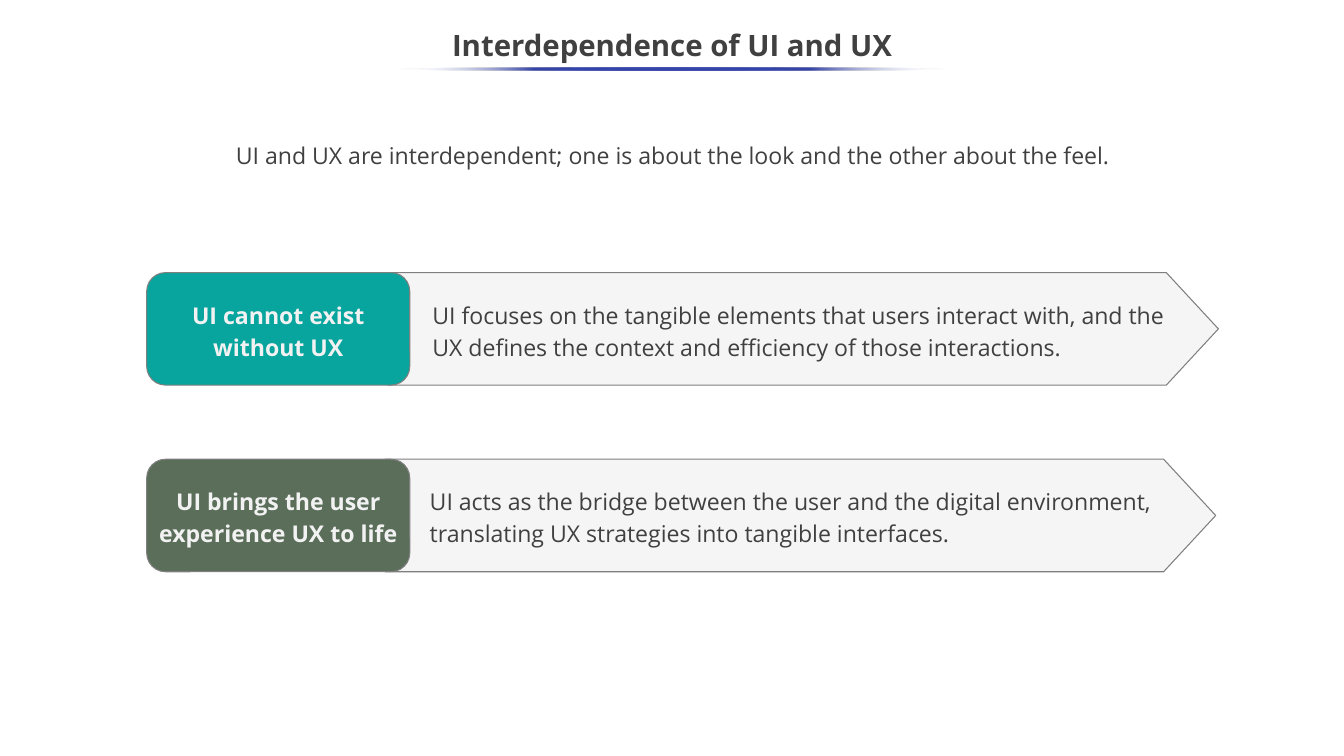
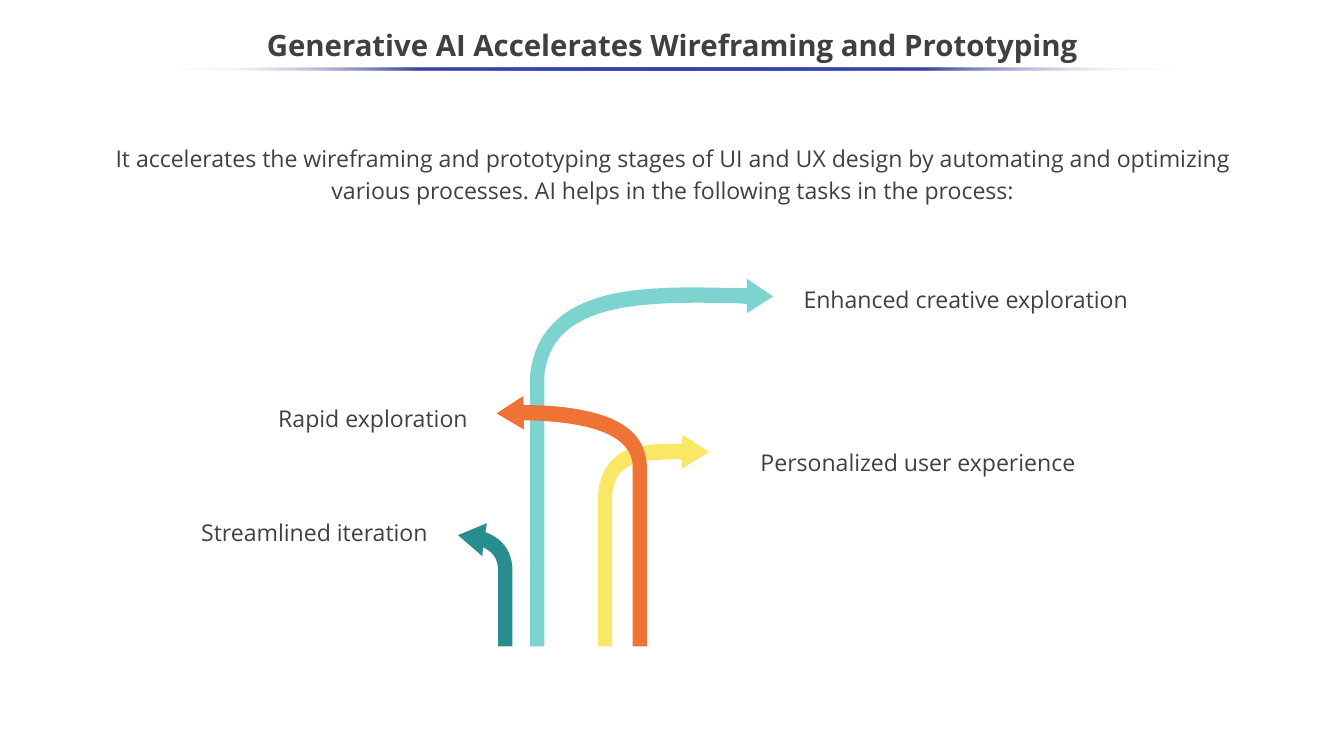
from lxml import etree
from pptx import Presentation
from pptx.dml.color import RGBColor
from pptx.enum.shapes import MSO_SHAPE
from pptx.enum.text import MSO_ANCHOR, MSO_AUTO_SIZE, PP_ALIGN
from pptx.oxml import parse_xml
from pptx.oxml.ns import nsdecls, qn
from pptx.util import Cm, Pt

LEFT, CENTER = PP_ALIGN.LEFT, PP_ALIGN.CENTER
TOP, MIDDLE = MSO_ANCHOR.TOP, MSO_ANCHOR.MIDDLE
NO_FIT, GROW = MSO_AUTO_SIZE.NONE, MSO_AUTO_SIZE.SHAPE_TO_FIT_TEXT
ROUNDED, OVAL = MSO_SHAPE.ROUNDED_RECTANGLE, MSO_SHAPE.OVAL

INK = RGBColor(0x40, 0x40, 0x40)
PALE = RGBColor(0xF2, 0xF2, 0xF2)
BANNER = RGBColor(0xD8, 0xD8, 0xD8)
OUTLINE = RGBColor(0x7F, 0x7F, 0x7F)
TEAL = RGBColor(0x07, 0xA5, 0x9D)
MOSS = RGBColor(0x5A, 0x6E, 0x5A)
DEEP_TEAL = RGBColor(0x28, 0x8D, 0x8E)
AQUA = RGBColor(0x7C, 0xD3, 0xD0)
YELLOW = RGBColor(0xFB, 0xE7, 0x66)
ORANGE = RGBColor(0xEE, 0x73, 0x34)
WHITE = RGBColor(0xFF, 0xFF, 0xFF)
INDIGO = RGBColor(0x36, 0x45, 0xA9)
FONT = "Open Sans"

SLIDE_W, SLIDE_H = 45.16, 25.4
INTRO_LEFT, INTRO_W = 3.58, 38.05
BASE = 21.72

INTERDEPENDENCE = {
    "title": "Interdependence of UI and UX",
    "rule_width": 18.5,
    "intro": "UI and UX are interdependent; one is about the look and the other about the feel.",
    "intro_top": 4.62,
}
BANNERS = [
    ("UI cannot exist without UX",
     "UI focuses on the tangible elements that users interact with, and the UX defines "
     "the context and efficiency of those interactions.", TEAL, 13.03),
    ("UI brings the user experience UX to life",
     "UI acts as the bridge between the user and the digital environment, translating "
     "UX strategies into tangible interfaces.", MOSS, 12.94),
]
BANNER_TOP, BANNER_PITCH = 9.16, 6.27
BANNER_W, BANNER_H, POINT_W = 27.91, 3.78, 1.75
TAG_LEFT, TAG_W = 4.93, 8.84

ACCELERATION = {
    "title": "Generative AI Accelerates Wireframing and Prototyping",
    "rule_width": 34.06,
    "intro": "It accelerates the wireframing and prototyping stages of UI and UX design by "
             "automating and optimizing various processes. AI helps in the following tasks "
             "in the process:",
    "intro_top": 4.72,
}
TASKS = [
    ("Enhanced creative exploration", (26.75, 8.99, 11.96, 1.52), LEFT, 1.5),
    ("Personalized user experience", (25.08, 14.48, 11.53, 1.52), CENTER, 1.5),
    ("Rapid exploration", (9.1, 13.0, 7.24, 1.52), LEFT, 1.5),
    ("Streamlined iteration", (6.45, 17.15, 8.23, 1.27), CENTER, 1.14),
]
ARROWS = [
    (DEEP_TEAL, [
        (17.22, BASE), (17.22, 19.18), (17.22, 18.75, 17.07, 18.16, 16.31, 17.88),
        (16.36, 17.58), (15.39, 17.98), (16.21, 18.69), (16.23, 18.39),
        (16.69, 18.59, 16.74, 18.95, 16.74, 19.18), (16.74, BASE)]),
    (AQUA, [
        (25.98, 9.96), (25.1, 9.37), (25.1, 9.68), (24.74, 9.68),
        (23.29, 9.65, 21.64, 9.6, 20.35, 9.93),
        (19.61, 10.13, 19.05, 10.41, 18.64, 10.82),
        (18.16, 11.28, 17.88, 11.89, 17.81, 12.62),
        (17.81, BASE), (18.29, BASE), (18.29, 12.65),
        (18.39, 11.51, 19.08, 10.8, 20.45, 10.44),
        (21.69, 10.13, 23.32, 10.16, 24.74, 10.19), (25.1, 10.21), (25.1, 10.52)]),
    (YELLOW, [
        (23.83, 15.19), (22.94, 14.61), (22.91, 14.91),
        (22.33, 14.91, 21.67, 14.91, 21.13, 15.09),
        (20.5, 15.34, 20.14, 15.88, 20.09, 16.69),
        (20.09, BASE), (20.57, BASE), (20.57, 16.71),
        (20.62, 15.52, 21.49, 15.42, 22.91, 15.44), (22.91, 15.75)]),
    (ORANGE, [
        (21.31, 14.58), (21.06, 14.33, 20.73, 14.12, 20.29, 13.97),
        (19.61, 13.74, 18.72, 13.61, 17.6, 13.61),
        (17.58, 13.31), (16.69, 13.89), (17.6, 14.43), (17.6, 14.12),
        (19.3, 14.15, 21.26, 14.43, 21.26, 15.7),
        (21.26, BASE), (21.74, BASE), (21.74, 15.7),
        (21.72, 15.27, 21.59, 14.88, 21.31, 14.58)]),
]


def box(*lengths):
    return [Cm(length) for length in lengths]


def write(shape, text, size=22, color=INK, bold=False, align=LEFT, spacing=1.15,
          anchor=TOP, insets=(0.25, 0.13, 0.25, 0.13), fit=NO_FIT):
    frame = shape.text_frame
    frame.text = text
    frame.word_wrap = True
    frame.auto_size = fit
    frame.vertical_anchor = anchor
    (frame.margin_left, frame.margin_top,
     frame.margin_right, frame.margin_bottom) = box(*insets)
    paragraph = frame.paragraphs[0]
    paragraph.alignment = align
    paragraph.line_spacing = spacing
    font = paragraph.runs[0].font
    font.name, font.size, font.bold = FONT, Pt(size), bold
    font.color.rgb = color


def paint(shape, fill, line=None):
    shape.shadow.inherit = False
    shape.fill.solid()
    shape.fill.fore_color.rgb = fill
    if line is None:
        shape.line.fill.background()
    else:
        shape.line.color.rgb = line
        shape.line.width = Pt(1)


def set_alpha(shape, percent):
    color = shape._element.spPr.find(qn("a:solidFill"))[0]
    etree.SubElement(color, qn("a:alpha")).set("val", str(percent * 1000))


def bend(shape, segments):
    straights = list(shape._element.iter(qn("a:lnTo")))
    for straight, segment in zip(straights, segments):
        if len(segment) == 2:
            continue
        curve = etree.Element(qn("a:cubicBezTo"))
        for x, y in zip(segment[::2], segment[1::2]):
            point = etree.SubElement(curve, qn("a:pt"))
            point.set("x", str(Cm(x) - shape.left))
            point.set("y", str(Cm(y) - shape.top))
        straight.getparent().replace(straight, curve)


def add_outline(slide, outline, fill, line=None):
    start, *ends = [box(*segment[-2:]) for segment in outline]
    builder = slide.shapes.build_freeform(*start)
    builder.add_line_segments(ends, close=True)
    shape = builder.convert_to_shape()
    bend(shape, outline[1:])
    paint(shape, fill, line)
    return shape


def add_rule(slide, width):
    rule = slide.shapes.add_shape(OVAL, *box((SLIDE_W - width) / 2, 2.26, width, 0.1))
    paint(rule, INDIGO)
    stops = "".join(
        f'<a:gs pos="{place * 1000}"><a:srgbClr val="{color}">'
        f'<a:alpha val="{alpha * 1000}"/></a:srgbClr></a:gs>'
        for place, color, alpha in [(0, WHITE, 0), (25, INDIGO, 100), (50, INDIGO, 100),
                                    (75, INDIGO, 100), (100, WHITE, 0)])
    gradient = parse_xml(f'<a:gradFill {nsdecls("a")} rotWithShape="1"><a:gsLst>{stops}'
                         '</a:gsLst><a:lin ang="10800000" scaled="0"/></a:gradFill>')
    properties = rule._element.spPr
    properties.replace(properties.find(qn("a:solidFill")), gradient)


def start_slide(deck, content):
    slide = deck.slides.add_slide(deck.slide_layouts[5])
    title = slide.shapes.title
    title.left, title.top, title.width, title.height = box(0, 0.64, SLIDE_W, 1.9)
    write(title, content["title"], 28, bold=True, align=CENTER, spacing=0.9, anchor=MIDDLE)
    intro = slide.shapes.add_textbox(*box(INTRO_LEFT, content["intro_top"], INTRO_W, 2.51))
    write(intro, content["intro"], align=CENTER, insets=(0.25, 0, 0.25, 0))
    add_rule(slide, content["rule_width"])
    return slide


def build_interdependence(deck):
    slide = start_slide(deck, INTERDEPENDENCE)
    for index, (claim, reason, color, left) in enumerate(BANNERS):
        top = BANNER_TOP + index * BANNER_PITCH
        bottom, tip = top + BANNER_H, left + BANNER_W
        banner = add_outline(slide, [
            (left, top), (tip - POINT_W, top), (tip, top + BANNER_H / 2),
            (tip - POINT_W, bottom), (left, bottom)], BANNER, OUTLINE)
        set_alpha(banner, 25)
        write(banner, reason, anchor=MIDDLE, insets=(1.5, 0.05, 1.37, 0.05))
        tag = slide.shapes.add_shape(ROUNDED, *box(TAG_LEFT, top, TAG_W, BANNER_H))
        paint(tag, color, OUTLINE)
        write(tag, claim, color=PALE, bold=True, align=CENTER, anchor=MIDDLE,
              insets=(0.18, 0.1, 0.18, 0.1))


def build_acceleration(deck):
    slide = start_slide(deck, ACCELERATION)
    for color, outline in ARROWS:
        add_outline(slide, outline, color)
    for task, place, align, spacing in TASKS:
        label = slide.shapes.add_textbox(*box(*place))
        write(label, task, align=align, spacing=spacing, fit=GROW)


def main():
    deck = Presentation()
    deck.slide_width, deck.slide_height = box(SLIDE_W, SLIDE_H)
    build_interdependence(deck)
    build_acceleration(deck)
    deck.save("out.pptx")


if __name__ == "__main__":
    main()
